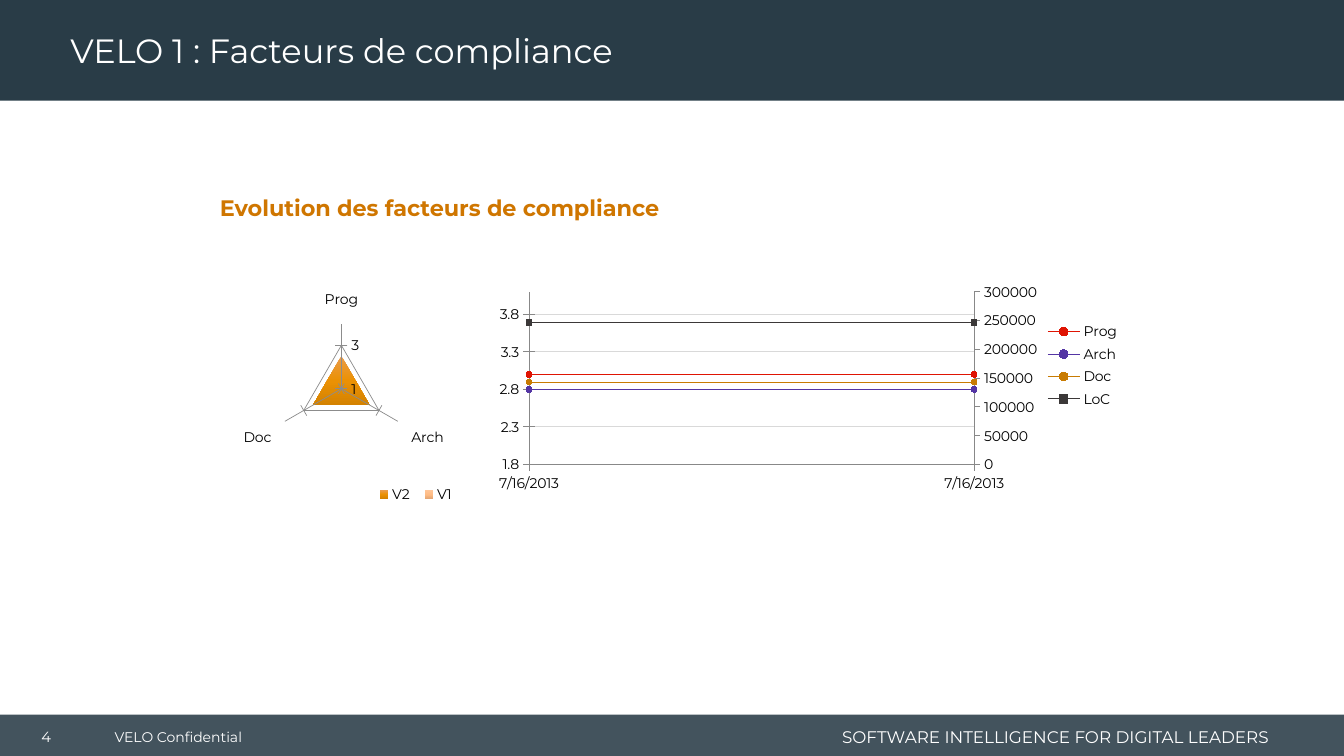
from copy import deepcopy

from lxml import etree
from pptx import Presentation
from pptx import util as u
from pptx.chart import axis as ax
from pptx.chart.data import CategoryChartData
from pptx.dml.color import RGBColor
from pptx.enum import chart as ch, shapes, text
from pptx.oxml import parse_xml
from pptx.oxml.ns import qn

FONT = "Montserrat"
WIDE, HIGH = 33.87, 19.05
HUES = {
    "navy": "293C47", "white": "FFFFFF", "amber": "CF7600", "black": "000000",
    "spoke": "8C8C8C", "axis": "888888", "grid": "D9D9D9",
    "Prog": "DF1403", "Arch": "5435A4", "Doc": "C87B02", "LoC": "3B3838",
}
FADES = {"V2": ("EA9C4B", "EB9104", "D48200"), "V1": ("FFC597", "FFBC85", "E5A774")}
MID, LEFT, RIGHT = text.PP_ALIGN.CENTER, text.PP_ALIGN.LEFT, text.PP_ALIGN.RIGHT


def hue(name):
    return RGBColor.from_string(HUES[name])


def place(box, dx, dy, w, h):
    """Lengths for a part set off from the corner of its box."""
    return [u.Cm(n) for n in (box[0] + dx, box[1] + dy, w, h)]


def write(frame, words, size, tint="white", align=LEFT, bold=False):
    frame.vertical_anchor = text.MSO_ANCHOR.MIDDLE
    par = frame.paragraphs[0]
    par.alignment = align
    run = par.add_run()
    run.text = words
    font = run.font
    font.name, font.size, font.bold = FONT, u.Pt(size), bold
    font.color.rgb = hue(tint)
    return par


def label(slide, spot, words, size, wrap=True, **look):
    frame = slide.shapes.add_textbox(*spot).text_frame
    frame.word_wrap = wrap
    write(frame, words, size, **look)


def band(slide, box):
    bar = slide.shapes.add_shape(shapes.MSO_SHAPE.RECTANGLE, *place(box, 0, 0, *box[2:]))
    bar.shadow.inherit = False
    bar.fill.solid()
    bar.fill.fore_color.rgb = hue("navy")
    bar.line.fill.background()
    return bar


def header(slide, box):
    band(slide, box)
    title = slide.shapes.title
    slide.shapes._spTree.append(title._element)  # bring in front of the band
    title.left, title.top, title.width, title.height = place(box, 1.52, 0.1, 24.33, 2.44)
    write(title.text_frame, "VELO 1 : Facteurs de compliance", 24).line_spacing = 0.9


def footer(slide, box):
    bar = band(slide, box)
    tint = bar._element.spPr.find(".//" + qn("a:srgbClr"))
    etree.SubElement(tint, qn("a:alpha"), val="88000")
    label(slide, place(box, 2.64, 0.05, 3.76, 1.02), "VELO Confidential", 10, wrap=False)
    label(slide, place(box, 20.6, 0.15, 11.63, 0.81),
          "SOFTWARE INTELLIGENCE FOR DIGITAL LEADERS", 12, align=RIGHT)
    label(slide, place(box, 0.25, 0.05, 1.83, 1.02), "4", 10.5, align=MID)


def stroke(line, tint, width):
    line.color.rgb = hue(tint)
    line.width = u.Pt(width)


def layout(area, inner=False):
    """Manual layout for a plot or legend, in shares of the chart."""
    node = etree.Element(qn("c:layout"))
    man = etree.SubElement(node, qn("c:manualLayout"))
    if inner:
        etree.SubElement(man, qn("c:layoutTarget"), val="inner")
    for key in ("xMode", "yMode"):
        etree.SubElement(man, qn("c:" + key), val="edge")
    for key, val in zip("xywh", area):
        etree.SubElement(man, qn("c:" + key), val=str(val))
    return node


def graph(slide, box, kind, cats, rows, plot, key, side):
    data = CategoryChartData()
    data.categories = cats
    for name, vals in rows:
        data.add_series(name, vals)
    chart = slide.shapes.add_chart(kind, *place(box, 0, 0, *box[2:]), data).chart
    chart.has_title = False
    font = chart.font
    font.name, font.size = FONT, u.Pt(10)
    font.color.rgb = hue("black")
    chart.has_legend = True
    chart.legend.position = side
    chart.legend.include_in_layout = False
    area = chart._chartSpace.chart.plotArea
    for node, spot, inner in ((area, plot, True), (chart.legend._element, key, False)):
        for old in node.findall(qn("c:layout")):
            node.remove(old)
        node.insert(0 if inner else 1, layout(spot, inner))
    return chart


def scale(axis, low, high, step, form, tick=ch.XL_TICK_MARK.CROSS):
    axis.minimum_scale, axis.maximum_scale, axis.major_unit = low, high, step
    axis.major_tick_mark = tick
    axis.tick_labels.number_format = form
    axis.tick_labels.number_format_is_linked = False


def radar(slide, box):
    chart = graph(slide, box, ch.XL_CHART_TYPE.RADAR_FILLED, ("Prog", "Arch", "Doc"),
                  (("V2", (2.5,) * 3), ("V1", (1.5,) * 3)),
                  (0.16, 0.1, 0.42, 0.74), (0.46, 0.76, 0.3, 0.08),
                  ch.XL_LEGEND_POSITION.BOTTOM)
    for axis in (chart.category_axis, chart.value_axis):
        axis.has_major_gridlines = True
        stroke(axis.format.line, "spoke", 0.5)
        stroke(axis.major_gridlines.format.line, "spoke", 0.5)
    scale(chart.value_axis, 1, 4, 2, "0")
    for row in chart.plots[0].series:
        row.format.line.fill.background()
        stops = "".join(f'<a:gs pos="{i * 50000}"><a:srgbClr val="{tint}"/></a:gs>'
                        for i, tint in enumerate(FADES[row.name]))
        row._element.get_or_add_spPr().insert(0, parse_xml(
            '<a:gradFill xmlns:a="http://schemas.openxmlformats.org/drawingml/2006/main">'
            f'<a:gsLst>{stops}</a:gsLst><a:lin ang="5400000" scaled="0"/></a:gradFill>'))


def split(chart):
    """Move the last series to axes of its own and return the right one."""
    area = chart._chartSpace.chart.plotArea
    first = area.find(qn("c:lineChart"))
    twin = deepcopy(first)
    first.remove(first.findall(qn("c:ser"))[-1])
    for row in twin.findall(qn("c:ser"))[:-1]:
        twin.remove(row)
    first.addnext(twin)
    cat, val = chart.category_axis._element, chart.value_axis._element
    cat2, val2 = deepcopy(cat), deepcopy(val)
    val.addnext(val2)
    val2.addnext(cat2)
    for node, own, other in ((cat2, "501", "502"), (val2, "502", "501")):
        node.find(qn("c:axId")).set("val", own)
        node.find(qn("c:crossAx")).set("val", other)
    for node, own in zip(twin.findall(qn("c:axId")), ("501", "502")):
        node.set("val", own)
    val2.find(qn("c:axPos")).set("val", "r")
    val2.find(qn("c:crosses")).set("val", "max")
    ax.CategoryAxis(cat2).visible = False
    return ax.ValueAxis(val2)


def trend(slide, box):
    chart = graph(slide, box, ch.XL_CHART_TYPE.LINE_MARKERS, ("7/16/2013",) * 2,
                  (("Prog", (3, 3)), ("Arch", (2.8, 2.8)), ("Doc", (2.9, 2.9)),
                   ("LoC", (247000, 247000))),
                  (0.06, 0.13, 0.7, 0.6), (0.87, 0.22, 0.12, 0.33),
                  ch.XL_LEGEND_POSITION.RIGHT)
    for row in chart.plots[0].series:
        row.smooth = False
        stroke(row.format.line, row.name, 0.5)
        mark = row.marker
        mark.size = 4
        mark.style = (ch.XL_MARKER_STYLE.SQUARE if row.name == "LoC"
                      else ch.XL_MARKER_STYLE.CIRCLE)
        mark.format.fill.solid()
        mark.format.fill.fore_color.rgb = hue(row.name)
        stroke(mark.format.line, row.name, 0.5)
    main = chart.value_axis
    scale(main, 1.8, 4.1, 0.5, "0.0")
    for axis in (chart.category_axis, main):
        stroke(axis.format.line, "axis", 0.75)
    stroke(main.major_gridlines.format.line, "grid", 0.75)
    node = main._element
    for old in node.findall(qn("c:crossBetween")):
        node.remove(old)
    edge = etree.Element(qn("c:crossBetween"), val="midCat")
    node.find(qn("c:crosses")).addnext(edge)
    right = split(chart)
    right.has_major_gridlines = False
    scale(right, 0, 300000, 50000, "0", ch.XL_TICK_MARK.OUTSIDE)


def body(slide, box):
    x, y = box[:2]
    label(slide, place(box, 5.29, 2.23, 11.94, 0.94),
          "Evolution des facteurs de compliance", 16, tint="amber", bold=True)
    radar(slide, (x + 5.71, y + 3.46, 7.82, 8.08))
    trend(slide, (x + 12.37, y + 3.87, 16.03, 7.26))


def main():
    deck = Presentation()
    deck.slide_width, deck.slide_height = u.Cm(WIDE), u.Cm(HIGH)
    slide = deck.slides.add_slide(deck.slide_layouts[5])
    top, foot = 2.54, 18.01
    footer(slide, (0, foot, WIDE, HIGH - foot))
    header(slide, (0, 0, WIDE, top))
    body(slide, (0, top, WIDE, foot - top))
    deck.save("out.pptx")


if __name__ == "__main__":
    main()
